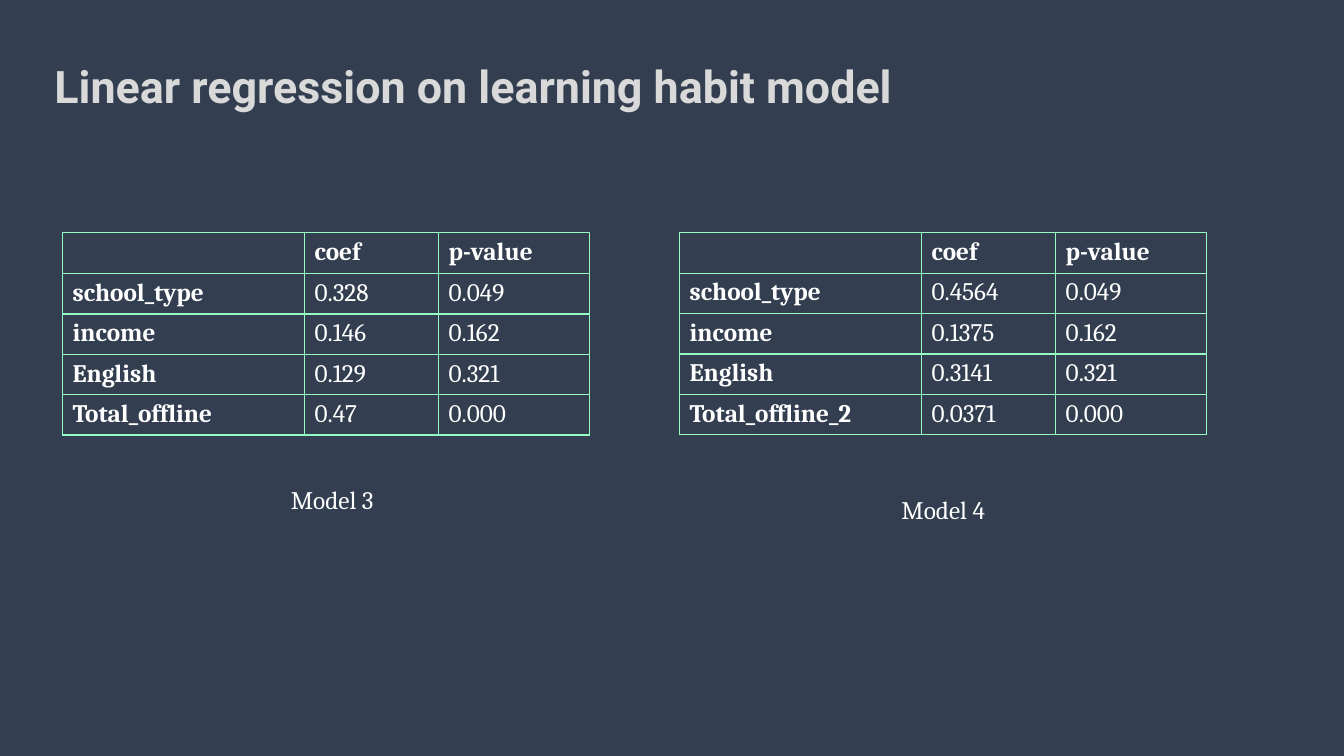
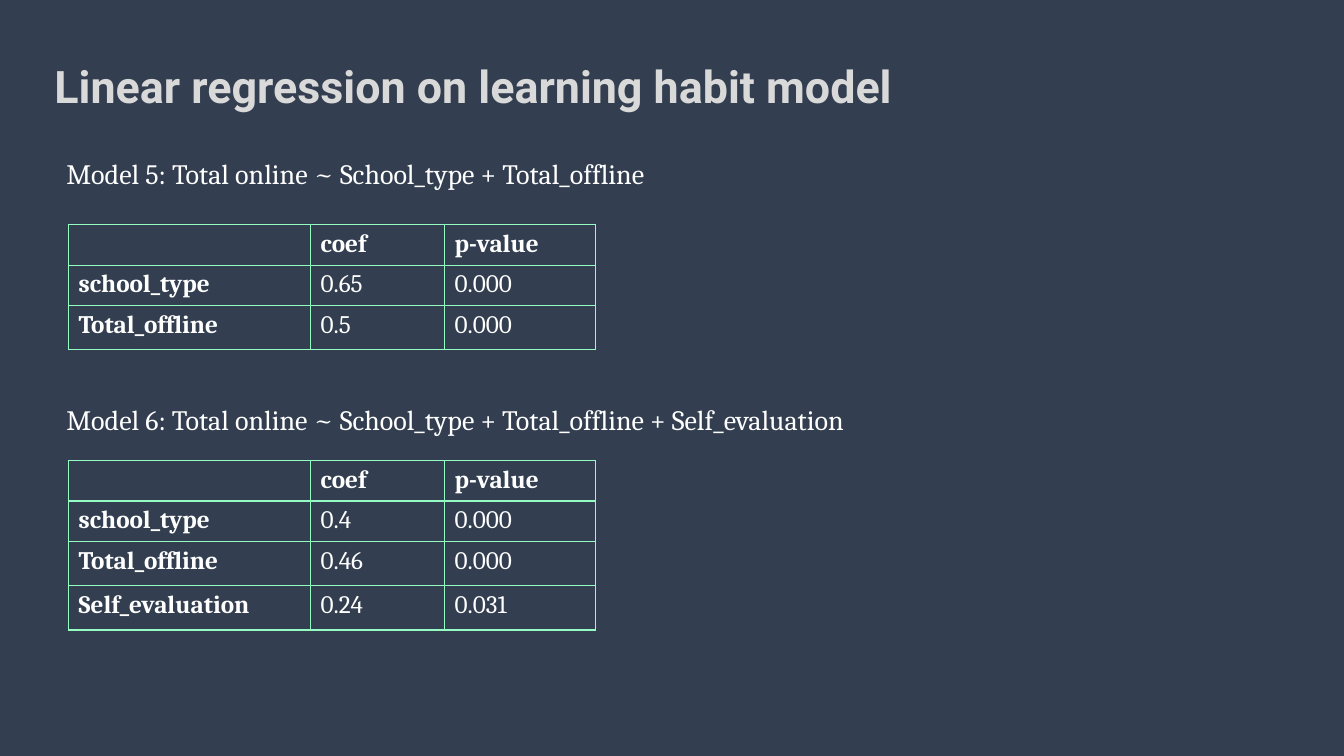
import pptx
import pptx.dml.color
import pptx.enum.text
import pptx.oxml
import pptx.oxml.ns
import pptx.util

Inches = pptx.util.Inches
Pt = pptx.util.Pt
PP_ALIGN = pptx.enum.text.PP_ALIGN
MIDDLE = pptx.enum.text.MSO_ANCHOR.MIDDLE

COLORS = {"background": "333F50", "title": "D9D9D9", "text": "FFFFFF", "border": "94FCC2"}
TITLE = "Linear regression on learning habit model"
TITLE_FONT = "Roboto"
BODY_FONT = "Cambria"
HEADER = ("", "coef", "p-value")
COLUMN_WIDTHS = (2.4, 1.33, 1.5)
BORDER_SIDES = ("lnL", "lnR", "lnT", "lnB")


def rgb(name):
    return pptx.dml.color.RGBColor.from_string(COLORS[name])


def add_run(paragraph, text, size, font=BODY_FONT, color="text", bold=False):
    run = paragraph.add_run()
    run.text = text
    run.font.name = font
    run.font.size = Pt(size)
    run.font.bold = bold
    run.font.color.rgb = rgb(color)


def style_layout(layout):
    layout.background.fill.solid()
    layout.background.fill.fore_color.rgb = rgb("background")
    heading = layout.placeholders[0]
    heading.left, heading.top = Inches(0.44), Inches(0.3)
    heading.width, heading.height = Inches(12.03), Inches(1.01)
    frame = heading.text_frame
    frame.vertical_anchor = MIDDLE
    frame.auto_size = pptx.enum.text.MSO_AUTO_SIZE.NONE
    frame.margin_left = frame.margin_right = Inches(0.1)
    frame.margin_top = frame.margin_bottom = Inches(0.1)


def add_titled_slide(deck, layout):
    slide = deck.slides.add_slide(layout)
    paragraph = slide.shapes.title.text_frame.paragraphs[0]
    paragraph.alignment = PP_ALIGN.LEFT
    paragraph.line_spacing = 1.15
    add_run(paragraph, TITLE, 32, TITLE_FONT, "title", True)
    return slide


def add_caption(slide, text, left, top, width, size, align=PP_ALIGN.LEFT):
    box = slide.shapes.add_textbox(Inches(left), Inches(top), Inches(width), Inches(0.82))
    frame = box.text_frame
    frame.word_wrap = True
    frame.vertical_anchor = MIDDLE
    frame.paragraphs[0].alignment = align
    add_run(frame.paragraphs[0], text, size)


def set_borders(cell):
    properties = cell._tc.get_or_add_tcPr()
    for position, side in enumerate(BORDER_SIDES):
        line = pptx.oxml.parse_xml(
            f'<a:{side} {pptx.oxml.ns.nsdecls("a")} w="{Pt(1)}"><a:solidFill>'
            f'<a:srgbClr val="{COLORS["border"]}"/></a:solidFill></a:{side}>'
        )
        properties.insert(position, line)


def add_coefficients(slide, left, top, variables, heights):
    rows = [HEADER, *variables]
    frame = slide.shapes.add_table(
        len(rows), len(HEADER), Inches(left), Inches(top),
        Inches(sum(COLUMN_WIDTHS)), Inches(sum(heights)),
    )
    table = frame.table
    table.first_row = table.horz_banding = False
    for column, width in zip(table.columns, COLUMN_WIDTHS):
        column.width = Inches(width)
    for r, (values, height) in enumerate(zip(rows, heights)):
        table.rows[r].height = Inches(height)
        for c, value in enumerate(values):
            cell = table.cell(r, c)
            cell.fill.background()
            set_borders(cell)
            if value:
                add_run(cell.text_frame.paragraphs[0], value, 18, bold=r == 0 or c == 0)


def add_side_by_side_models(slide):
    model_3 = [
        ("school_type", "0.328", "0.049"),
        ("income", "0.146", "0.162"),
        ("English", "0.129", "0.321"),
        ("Total_offline", "0.47", "0.000"),
    ]
    model_4 = [
        ("school_type", "0.4564", "0.049"),
        ("income", "0.1375", "0.162"),
        ("English", "0.3141", "0.321"),
        ("Total_offline_2", "0.0371", "0.000"),
    ]
    for name, variables, left, caption_top, caption_width in (
        ("Model 3", model_3, 0.62, 4.54, 5.35),
        ("Model 4", model_4, 6.74, 4.64, 5.23),
    ):
        add_coefficients(slide, left, 2.31, variables, [0.4] * 5)
        add_caption(slide, name, left, caption_top, caption_width, 18, PP_ALIGN.CENTER)


def add_stacked_models(slide):
    model_5 = [
        ("school_type", "0.65", "0.000"),
        ("Total_offline", "0.5", "0.000"),
    ]
    model_6 = [
        ("school_type", "0.4", "0.000"),
        ("Total_offline", "0.46", "0.000"),
        ("Self_evaluation", "0.24", "0.031"),
    ]
    heights = (0.39, 0.4, 0.44, 0.44)
    for formula, variables, caption_top, table_top in (
        ("Model 5: Total online ~ School_type + Total_offline", model_5, 1.31, 2.23),
        ("Model 6: Total online ~ School_type + Total_offline + Self_evaluation",
         model_6, 3.75, 4.57),
    ):
        add_caption(slide, formula, 0.56, caption_top, 9.93, 20)
        add_coefficients(slide, 0.68, table_top, variables, heights[:len(variables) + 1])


def main():
    deck = pptx.Presentation()
    deck.slide_width, deck.slide_height = Inches(13.33), Inches(7.5)
    title_only = deck.slide_layouts[5]
    style_layout(title_only)
    add_side_by_side_models(add_titled_slide(deck, title_only))
    add_stacked_models(add_titled_slide(deck, title_only))
    deck.save("out.pptx")


main()
